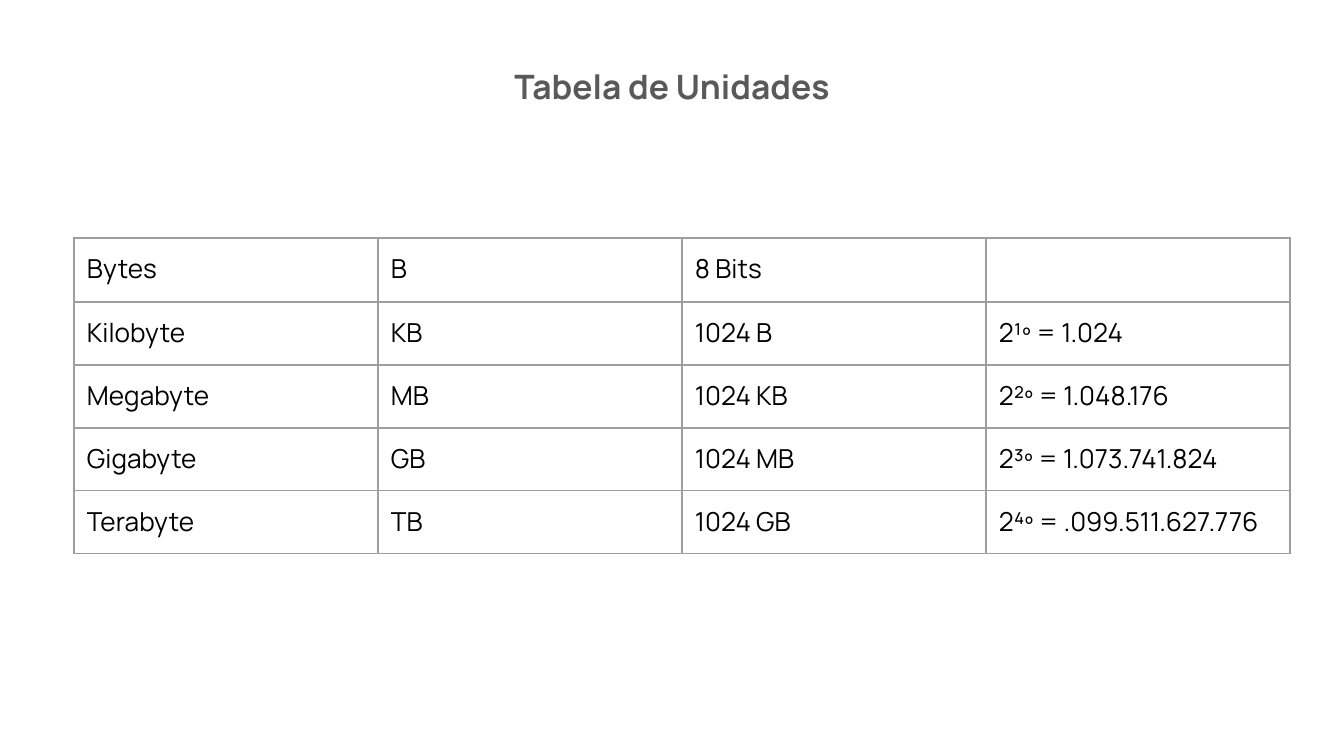
from pptx import Presentation
from pptx import util as u
from pptx.dml.color import RGBColor
from pptx.enum import text
from pptx.oxml import parse_xml
from pptx.oxml.ns import nsdecls

PX = 914400 / 134.4
FONT = "Manrope"
COLORS = {"title": "595959", "cell": "000000", "border": "9E9E9E"}
INSET = 13
BORDER_WIDTH = u.Pt(0.75)

UNITS = [
    ("Bytes", "B", "8 Bits", ""),
    ("Kilobyte", "KB", "1024 B", "2¹º = 1.024"),
    ("Megabyte", "MB", "1024 KB", "2²º = 1.048.176"),
    ("Gigabyte", "GB", "1024 MB", "2³º = 1.073.741.824"),
    ("Terabyte", "TB", "1024 GB", "2⁴º = .099.511.627.776"),
]


def px(length):
    return u.Emu(round(length * PX))


def set_insets(target):
    """Give a cell or a text frame the same margin on all sides."""
    for side in ("left", "right", "top", "bottom"):
        setattr(target, f"margin_{side}", px(INSET))


def style_paragraph(paragraph, size, color, bold=False):
    font = paragraph.font
    font.name = FONT
    font.size = u.Pt(size)
    font.bold = bold
    font.color.rgb = RGBColor.from_string(COLORS[color])


def add_title(slide, content):
    box = slide.shapes.add_textbox(px(231), px(53), px(882), px(67))
    frame = box.text_frame
    frame.word_wrap = True
    set_insets(frame)
    paragraph = frame.paragraphs[0]
    paragraph.text = content
    paragraph.alignment = text.PP_ALIGN.CENTER
    style_paragraph(paragraph, 18, "title", bold=True)


def set_borders(cell):
    properties = cell._tc.get_or_add_tcPr()
    for index, side in enumerate("LRTB"):
        properties.insert(index, parse_xml(
            f'<a:ln{side} {nsdecls("a")} w="{BORDER_WIDTH}"><a:solidFill>'
            f'<a:srgbClr val="{COLORS["border"]}"/></a:solidFill></a:ln{side}>'))


def fill_cell(cell, content):
    set_insets(cell)
    cell.fill.background()
    set_borders(cell)
    paragraph = cell.text_frame.paragraphs[0]
    paragraph.text = content
    style_paragraph(paragraph, 14, "cell")
    if not content:
        # An empty paragraph takes its line height from its end mark.
        paragraph._p.get_or_add_endParaRPr().set("sz", "1400")


def add_unit_table(slide, rows, column_width=304, header_height=64, row_height=63):
    columns = len(rows[0])
    height = header_height + row_height * (len(rows) - 1)
    table = slide.shapes.add_table(
        len(rows), columns, px(74), px(238),
        px(column_width * columns), px(height)).table
    table.first_row = False
    table.horz_banding = False
    for column in table.columns:
        column.width = px(column_width)
    for index, values in enumerate(rows):
        table.rows[index].height = px(row_height if index else header_height)
        for cell, value in zip(table.rows[index].cells, values):
            fill_cell(cell, value)


def main():
    presentation = Presentation()
    presentation.slide_width = px(1344)
    presentation.slide_height = px(756)
    slide = presentation.slides.add_slide(presentation.slide_layouts[6])
    add_unit_table(slide, UNITS)
    add_title(slide, "Tabela de Unidades")
    presentation.save("out.pptx")


if __name__ == "__main__":
    main()
